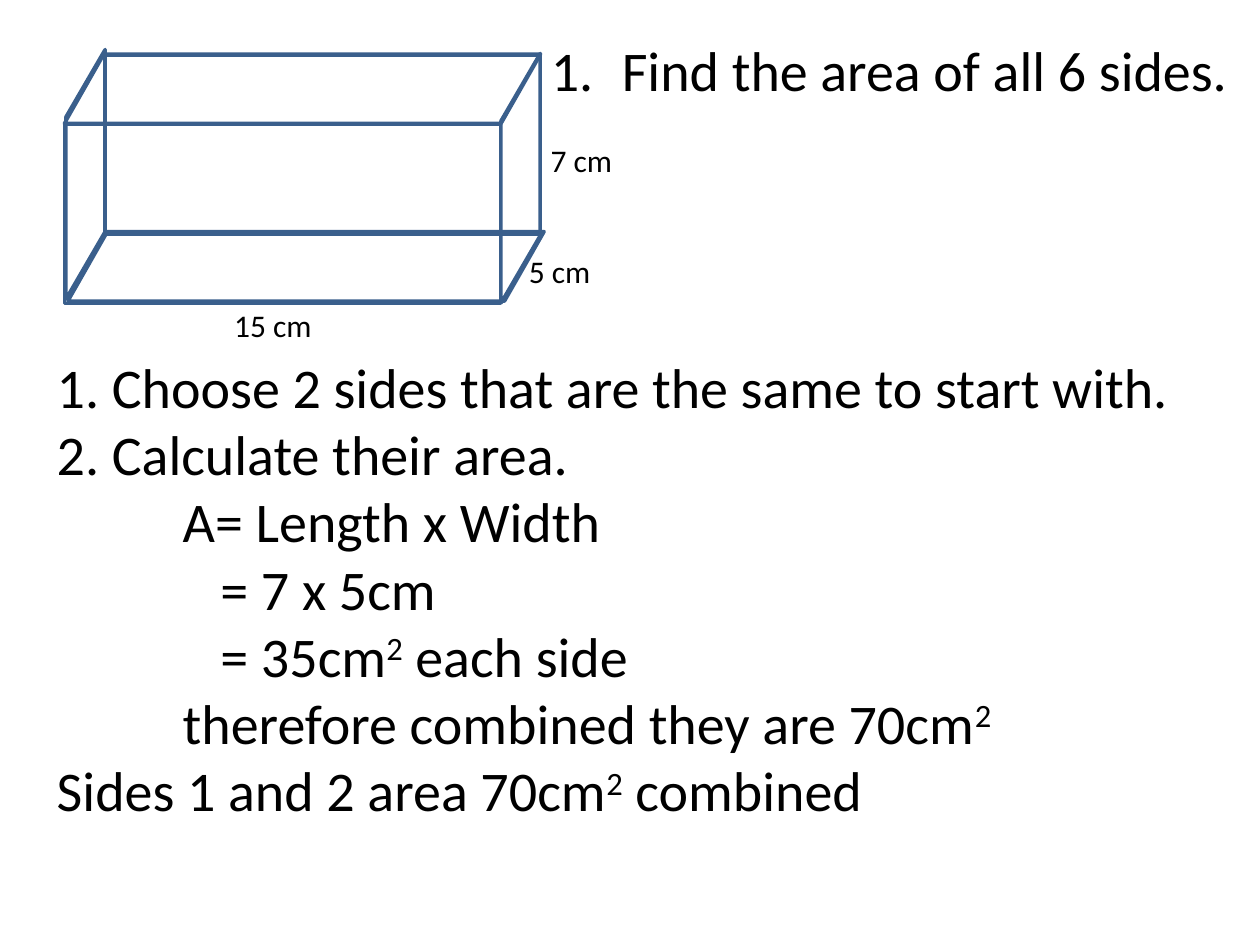
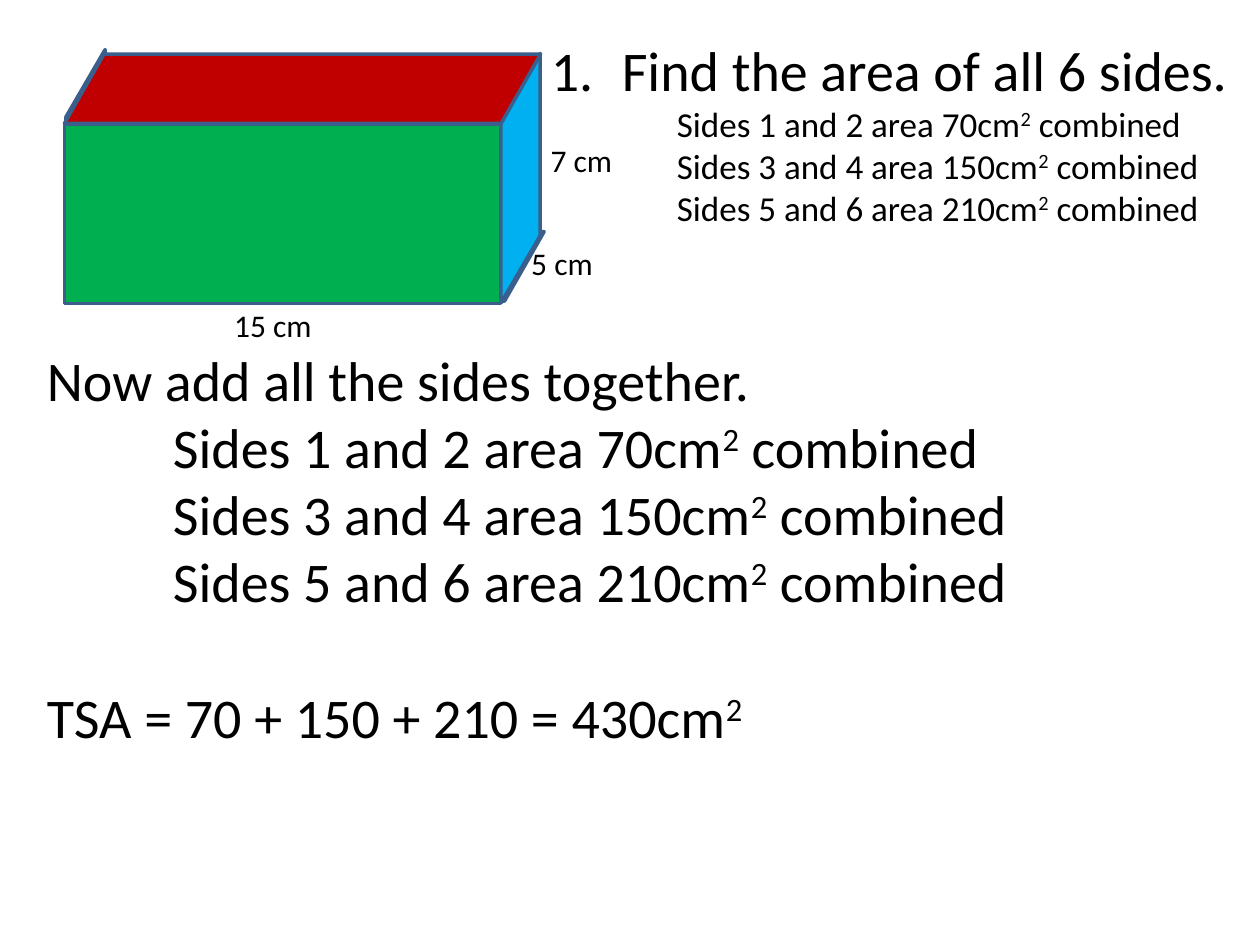
import pptx
import pptx.dml.color
import pptx.enum.shapes
import pptx.enum.text
import pptx.oxml
import pptx.oxml.ns
import pptx.util

Cm = pptx.util.Cm
Pt = pptx.util.Pt
SHAPES = pptx.enum.shapes.MSO_SHAPE
ALIGN = pptx.enum.text.PP_ALIGN

COLOURS = {"text": "000000", "edge": "3A5F8C",
           "ends": "00B0F0", "top_bottom": "C00000", "front": "00B050"}
FONT = "Calibri"
TAB = 2.54          # indent of the working, in cm
EQUALS = 3.3        # indent of the lines that start with "="
BLANK_LINE = 39     # points

HEADING = "Find the area of all 6 sides."
SIDE_AREAS = [f"Sides {first} and {first + 1} area {area}cm^2 combined"
              for first, area in ((1, 70), (3, 150), (5, 210))]

# Prism faces from back to front: kind, left, top, width, height (cm)
FACES = {
    "left": ("end", -0.79, 3.12, 5.03, 0.79),
    "back": ("rectangle", 2.11, 1.12, 8.79, 3.61),
    "bottom": ("slanted", 1.37, 4.67, 9.6, 1.4),
    "right": ("end", 7.98, 3.2, 5.03, 0.79),
    "front": ("rectangle", 1.3, 2.51, 8.79, 3.61),
    "top": ("slanted", 1.3, 1.09, 9.6, 1.4),
}
FACE_FILLS = {"left": "ends", "right": "ends", "top": "top_bottom",
              "bottom": "top_bottom", "front": "front"}


def colour(name):
    return pptx.dml.color.RGBColor.from_string(COLOURS[name])


def write(paragraph, text, size=32, left=0, numbered=False, before=0):
    """Write one paragraph; the character after each ^ is raised."""
    hanging = 1.43 if numbered else 0
    properties = paragraph._p.get_or_add_pPr()
    properties.set("marL", str(Cm(left + hanging)))
    properties.set("indent", str(-Cm(hanging)))
    bullet = pptx.oxml.ns.qn("a:buAutoNum" if numbered else "a:buNone")
    bullet_element = properties.makeelement(bullet, {})
    if numbered:
        bullet_element.set("type", "arabicPeriod")
    properties.append(bullet_element)
    paragraph.alignment = ALIGN.LEFT
    paragraph.space_before = Pt(before)

    plain, *raised = text.split("^")
    pieces = [(plain, False)]
    for part in raised:
        pieces += [(part[0], True), (part[1:], False)]
    for piece, is_raised in pieces:
        if not piece:
            continue
        run = paragraph.add_run()
        run.text = piece
        run.font.name = FONT
        run.font.size = Pt(size)
        run.font.color.rgb = colour("text")
        if is_raised:
            run._r.get_or_add_rPr().set("baseline", "30000")


def fill_text(shape, lines):
    """Fill a shape with lines, each a text and its format."""
    frame = shape.text_frame
    frame.word_wrap = True
    frame.auto_size = pptx.enum.text.MSO_AUTO_SIZE.NONE
    frame.vertical_anchor = pptx.enum.text.MSO_ANCHOR.TOP
    for index, (text, text_format) in enumerate(lines):
        paragraph = frame.add_paragraph() if index else frame.paragraphs[0]
        write(paragraph, text, **text_format)


def fill_placeholder(placeholder, place, lines):
    left, top, width, height = map(Cm, place)
    placeholder.left, placeholder.top = left, top
    placeholder.width, placeholder.height = width, height
    fill_text(placeholder, lines)


def add_label(slide, text, left, top):
    box = slide.shapes.add_textbox(Cm(left), Cm(top), Cm(2.44), Cm(1.02))
    fill_text(box, [(text, {"size": 18})])


def add_face(slide, kind, left, top, width, height, fill):
    preset = SHAPES.RECTANGLE if kind == "rectangle" else SHAPES.PARALLELOGRAM
    face = slide.shapes.add_shape(preset, *map(Cm, (left, top, width, height)))
    face.shadow.inherit = False
    if kind == "slanted":
        face.adjustments[0] = 0.57
    elif kind == "end":
        face.adjustments[0] = 1.72
        face.rotation = 90
        face._element.spPr.find(pptx.oxml.ns.qn("a:xfrm")).set("flipV", "1")
    if fill:
        face.fill.solid()
        face.fill.fore_color.rgb = colour(fill)
    else:
        face.fill.background()
    face.line.color.rgb = colour("edge")
    face.line.width = Pt(2)


def add_prism(slide, fills, depth_label):
    for name, face in FACES.items():
        add_face(slide, *face, fills.get(name))
    add_label(slide, "5 cm", *depth_label)
    add_label(slide, "7 cm", 10.85, 2.72)
    add_label(slide, "15 cm", 4.47, 6.05)


def add_step(presentation, summary, body_place, body_lines, fills, depth_label):
    """Add a slide with the prism, the task heading and the working."""
    slide = presentation.slides.add_slide(presentation.slide_layouts[1])
    heading = [(HEADING, {"numbered": True})]
    heading += [(text, {"size": 20, "left": TAB}) for text in summary]
    title_height = 6.4 if summary else 3
    fill_placeholder(slide.shapes.title, (10.85, 0.58, 14.27, title_height), heading)
    fill_placeholder(slide.placeholders[1], body_place, body_lines)
    add_prism(slide, fills, depth_label)


def main():
    presentation = pptx.Presentation()
    presentation.slide_width, presentation.slide_height = Cm(25.4), Cm(19.05)

    # First pair of sides
    working = [
        ("1. Choose 2 sides that are the same to start with.", {}),
        ("2. Calculate their area.", {}),
        ("A= Length x Width", {"left": TAB}),
        ("= 7 x 5cm", {"left": EQUALS}),
        ("= 35cm^2 each side", {"left": EQUALS}),
        ("therefore combined they are 70cm^2", {"left": TAB}),
        (SIDE_AREAS[0], {}),
    ]
    add_step(presentation, [], (0.89, 6.98, 24.51, 12.07), working, {}, (10.41, 4.95))

    # Total surface area
    total = [("Now add all the sides together.", {})]
    total += [(text, {"left": TAB}) for text in SIDE_AREAS]
    total.append(("TSA = 70 + 150 + 210 = 430cm^2", {"before": BLANK_LINE}))
    add_step(presentation, SIDE_AREAS, (0.69, 6.83, 24.51, 8.46), total,
             FACE_FILLS, (10.46, 4.8))

    presentation.save("out.pptx")


if __name__ == "__main__":
    main()
